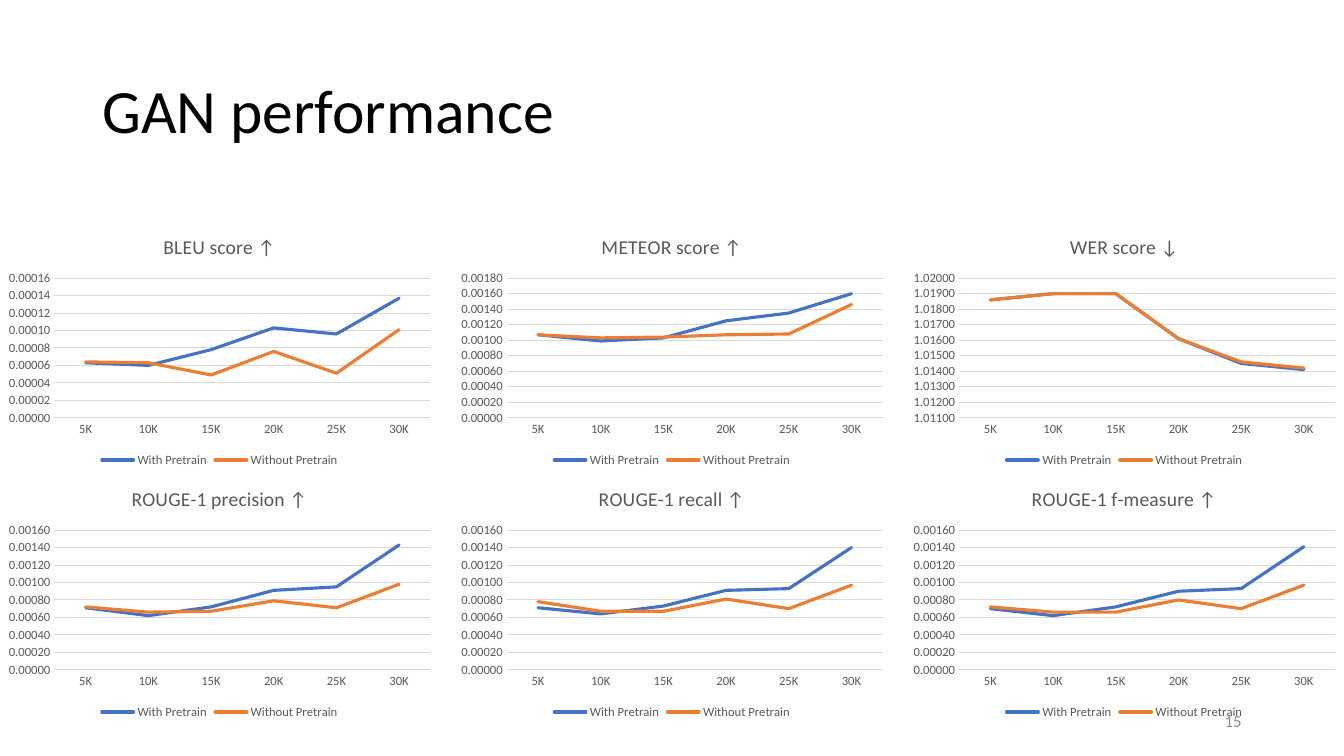
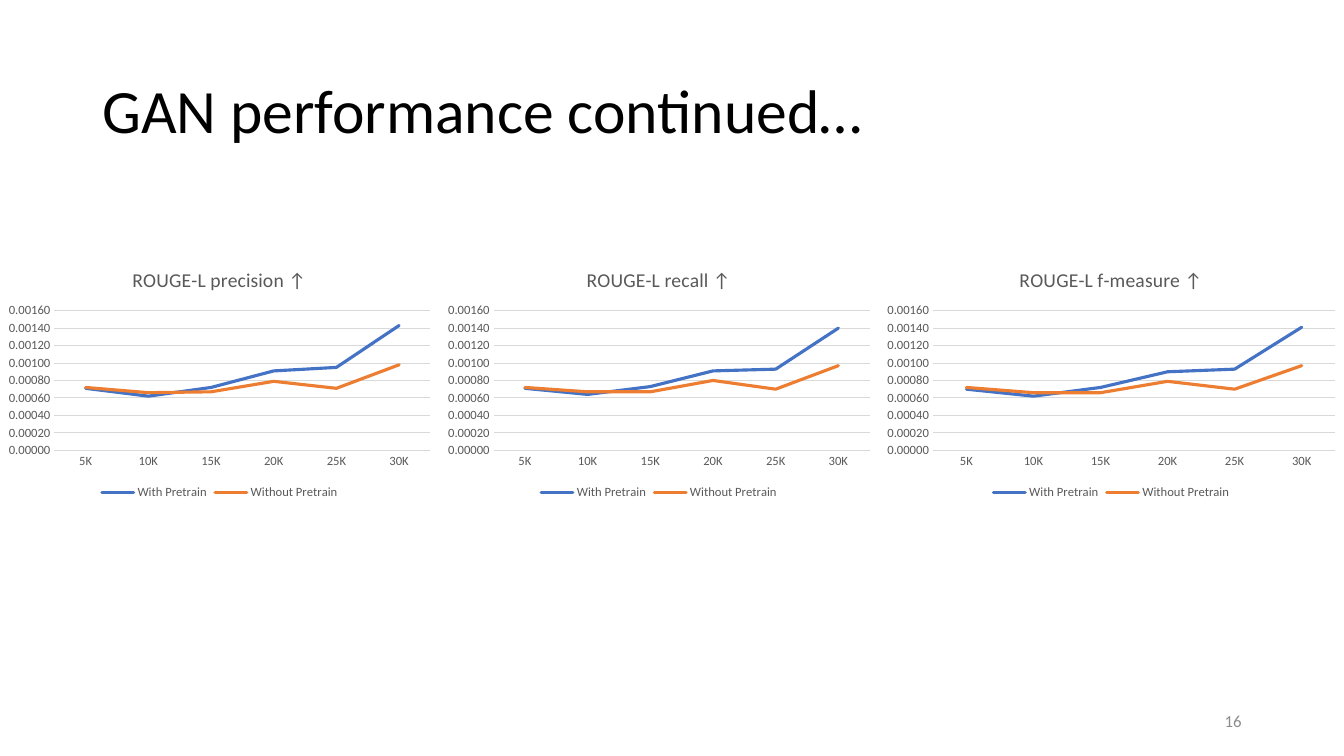
"""Build two slides of line charts on GAN performance."""
from dataclasses import dataclass

import pptx
import pptx.chart.data
import pptx.dml.color
import pptx.enum.chart
import pptx.enum.text
import pptx.oxml
import pptx.oxml.ns
import pptx.util
from pptx.util import Cm, Pt

FONT = "Calibri"
COLORS = {
    "title": "000000",
    "number": "8C8C8C",
    "label": "595959",
    "grid": "D9D9D9",
    "with": "4472C4",
    "without": "ED7D31",
}
STEPS = ("5K", "10K", "15K", "20K", "25K", "30K")
HEIGHT = 6.35
WIDTH = 11.07
PITCH = 11.4

PREC = (0.00071, 0.00062, 0.00072, 0.00091, 0.00095, 0.00143)
RECALL = (0.00071, 0.00064, 0.00073, 0.00091, 0.00093, 0.0014)
FSCORE = (0.0007, 0.00062, 0.00072, 0.0009, 0.00093, 0.00141)


@dataclass(frozen=True)
class Score:
    title: str
    tuned: tuple[float, ...]
    plain: tuple[float, ...]
    top: float = 0.0016
    unit: float = 0.0002
    low: float = 0


@dataclass(frozen=True)
class Box:
    left: float
    top: float
    width: float = WIDTH
    height: float = HEIGHT

    def place(self) -> tuple[int, ...]:
        return Cm(self.left), Cm(self.top), Cm(self.width), Cm(self.height)


@dataclass(frozen=True)
class Page:
    title: str
    number: int
    boxes: tuple[Box, ...]
    scores: tuple[Score, ...]


TITLE = Box(2.33, 1.01, 29.21, 3.68)
NUMBER = Box(23.92, 17.66, 7.62, 1.01)

PAGES = (
    Page(
        "GAN performance", 15,
        tuple(Box(col * PITCH, 5.53 + row * HEIGHT)
              for row in range(2) for col in range(3)),
        (
            Score("BLEU score ↑",
                  (0.000063, 0.00006, 0.000078, 0.000103, 0.000096, 0.000137),
                  (0.000064, 0.000063, 0.000049, 0.000076, 0.000051, 0.000101),
                  0.00016, 0.00002),
            Score("METEOR score ↑",
                  (0.00107, 0.00099, 0.00103, 0.00125, 0.00135, 0.0016),
                  (0.00107, 0.00103, 0.00104, 0.00107, 0.00108, 0.00146),
                  0.0018),
            Score("WER score ↓",
                  (1.0186, 1.019, 1.019, 1.0161, 1.0145, 1.0141),
                  (1.0186, 1.019, 1.019, 1.0161, 1.0146, 1.0142),
                  1.02, 0.001, 1.011),
            Score("ROUGE-1 precision ↑", PREC,
                  (0.00072, 0.00066, 0.00067, 0.00079, 0.00071, 0.00098)),
            Score("ROUGE-1 recall ↑", RECALL,
                  (0.00078, 0.00067, 0.00067, 0.00081, 0.0007, 0.00097)),
            Score("ROUGE-1 f-measure ↑", FSCORE,
                  (0.00072, 0.00066, 0.00066, 0.0008, 0.0007, 0.00097)),
        ),
    ),
    Page(
        "GAN performance continued…", 16,
        (Box(0, HEIGHT), Box(WIDTH, HEIGHT), Box(2 * WIDTH, HEIGHT, 11.73)),
        (
            Score("ROUGE-L precision ↑", PREC,
                  (0.00072, 0.00066, 0.00067, 0.00079, 0.00071, 0.00098)),
            Score("ROUGE-L recall ↑", RECALL,
                  (0.00072, 0.00067, 0.00067, 0.0008, 0.0007, 0.00097)),
            Score("ROUGE-L f-measure ↑", FSCORE,
                  (0.00072, 0.00066, 0.00066, 0.00079, 0.0007, 0.00097)),
        ),
    ),
)


def paint(name: str) -> pptx.dml.color.RGBColor:
    return pptx.dml.color.RGBColor.from_string(COLORS[name])


def style(font, size: float, color: str) -> None:
    font.name = FONT
    font.size = Pt(size)
    font.bold = False
    font.color.rgb = paint(color)


def rule(line, color: str, width: float) -> None:
    line.color.rgb = paint(color)
    line.width = Pt(width)


def fix_plot(chart, box: Box) -> None:
    left, right, top, tall = 1.37, 0.22, 1.48, 3.52
    parts = {
        "x": left / box.width,
        "y": top / box.height,
        "w": (box.width - left - right) / box.width,
        "h": tall / box.height,
    }
    sizes = "".join(f'<c:{key} val="{val:.4f}"/>' for key, val in parts.items())
    layout = pptx.oxml.parse_xml(
        f'<c:layout {pptx.oxml.ns.nsdecls("c")}><c:manualLayout>'
        '<c:layoutTarget val="inner"/><c:xMode val="edge"/>'
        f'<c:yMode val="edge"/>{sizes}</c:manualLayout></c:layout>')
    plot = chart.element.chart.plotArea
    for old in plot.findall(pptx.oxml.ns.qn("c:layout")):
        plot.remove(old)
    plot.insert(0, layout)


def add_score(slide, box: Box, score: Score) -> None:
    data = pptx.chart.data.CategoryChartData(number_format="0.00000")
    data.categories = STEPS
    data.add_series("With Pretrain", score.tuned)
    data.add_series("Without Pretrain", score.plain)
    chart = slide.shapes.add_chart(
        pptx.enum.chart.XL_CHART_TYPE.LINE, *box.place(), data).chart
    style(chart.font, 9, "label")

    chart.has_title = True
    head = chart.chart_title.text_frame
    head.text = score.title
    style(head.paragraphs[0].font, 14, "label")
    head.paragraphs[0].space_before = Pt(6)
    chart.chart_title.include_in_layout = False

    chart.has_legend = True
    chart.legend.position = pptx.enum.chart.XL_LEGEND_POSITION.BOTTOM
    chart.legend.include_in_layout = False
    style(chart.legend.font, 9, "label")

    for axis in (chart.category_axis, chart.value_axis):
        axis.major_tick_mark = pptx.enum.chart.XL_TICK_MARK.NONE
        axis.minor_tick_mark = pptx.enum.chart.XL_TICK_MARK.NONE
        style(axis.tick_labels.font, 9, "label")
    rule(chart.category_axis.format.line, "grid", 0.75)
    scale = chart.value_axis
    scale.minimum_scale = score.low
    scale.maximum_scale = score.top
    scale.major_unit = score.unit
    scale.format.line.fill.background()
    scale.has_major_gridlines = True
    rule(scale.major_gridlines.format.line, "grid", 0.75)
    scale.tick_labels.number_format = "0.00000"
    scale.tick_labels.number_format_is_linked = False

    chart.plots[0].vary_by_categories = False
    for series, color in zip(chart.plots[0].series, ("with", "without")):
        series.smooth = False
        series.marker.style = pptx.enum.chart.XL_MARKER_STYLE.NONE
        rule(series.format.line, color, 2.25)
        props = series.format.line.fill._xPr
        props.set("cap", "rnd")
    fix_plot(chart, box)


def add_title(slide, text: str) -> None:
    title = slide.shapes.title
    title.left, title.top, title.width, title.height = TITLE.place()
    frame = title.text_frame
    frame.text = text
    frame.vertical_anchor = pptx.enum.text.MSO_ANCHOR.MIDDLE
    line = frame.paragraphs[0]
    line.alignment = pptx.enum.text.PP_ALIGN.LEFT
    line.line_spacing = 0.9
    style(line.font, 44, "title")


def add_number(slide, number: int) -> None:
    frame = slide.shapes.add_textbox(*NUMBER.place()).text_frame
    frame.word_wrap = True
    frame.vertical_anchor = pptx.enum.text.MSO_ANCHOR.MIDDLE
    frame.text = str(number)
    line = frame.paragraphs[0]
    line.alignment = pptx.enum.text.PP_ALIGN.RIGHT
    style(line.font, 12, "number")


def add_page(deck, page: Page) -> None:
    slide = deck.slides.add_slide(deck.slide_layouts.get_by_name("Title Only"))
    add_title(slide, page.title)
    add_number(slide, page.number)
    for box, score in zip(page.boxes, page.scores):
        add_score(slide, box, score)


def main() -> None:
    deck = pptx.Presentation()
    deck.slide_width, deck.slide_height = Cm(33.87), Cm(19.05)
    for page in PAGES:
        add_page(deck, page)
    deck.save("out.pptx")


if __name__ == "__main__":
    main()
